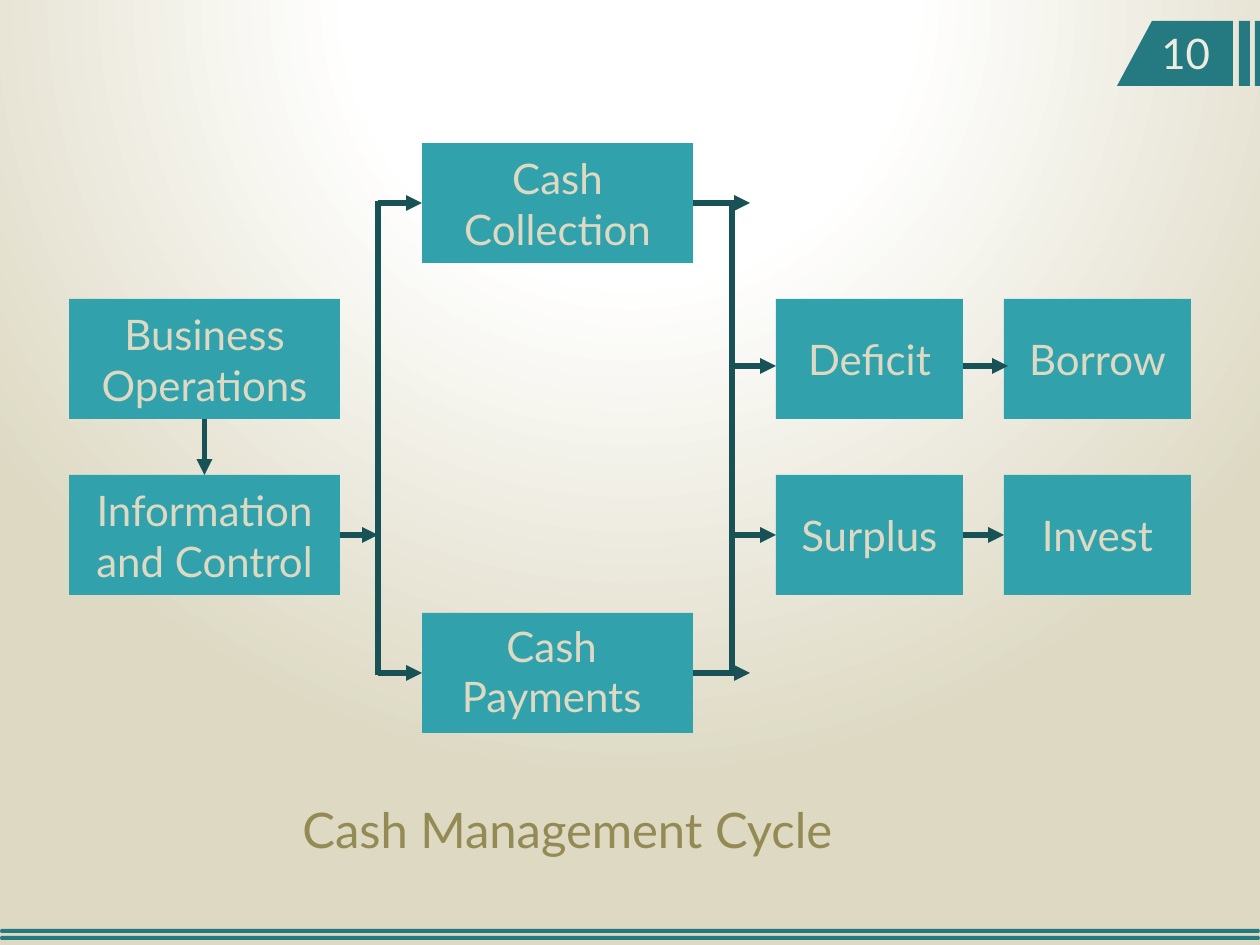
from lxml.etree import SubElement
from pptx import Presentation
from pptx.dml.color import RGBColor
from pptx.enum.shapes import MSO_CONNECTOR, MSO_SHAPE
from pptx.enum.text import MSO_ANCHOR, PP_ALIGN
from pptx.oxml.ns import qn
from pptx.util import Pt

EMU_PER_PX = 914400 / 126
SLIDE_W, SLIDE_H = 1260, 945
FONT = "Lato"
TEAL, DARK_TEAL, BOX_TEAL = "257A81", "185156", "31A2AC"
SAND, OLIVE, CREAM = "DDD9C3", "948A54", "EEECE1"
TOP, LEFT, BOTTOM, RIGHT = range(4)


def px(length):
    """Turn pixels into EMU."""
    return round(length * EMU_PER_PX)


def paint(color_format, hex_color):
    """Set a colour from a hex string."""
    color_format.rgb = RGBColor.from_string(hex_color)


def fill_plain(shape, hex_color):
    """Give a shape a flat fill with no outline or shadow."""
    shape.shadow.inherit = False
    shape.fill.solid()
    paint(shape.fill.fore_color, hex_color)
    shape.line.fill.background()


def write(frame, text, size, color, align=PP_ALIGN.LEFT):
    """Write one styled paragraph into a text frame."""
    frame.word_wrap = True
    frame.text = text
    paragraph = frame.paragraphs[0]
    paragraph.alignment = align
    font = paragraph.runs[0].font
    font.name, font.size = FONT, Pt(size)
    paint(font.color, color)


def add_label(slide, box, text, size, color):
    """Place free-standing text in a box."""
    label = slide.shapes.add_textbox(*map(px, box))
    write(label.text_frame, text, size, color)


def add_outline(slide, contours, hex_color):
    """Draw closed contours as a single filled freeform."""
    first, *others = contours
    builder = slide.shapes.build_freeform(*first[0], scale=EMU_PER_PX)
    builder.add_line_segments(first[1:], close=True)
    for contour in others:
        builder.move_to(*contour[0])
        builder.add_line_segments(contour[1:], close=True)
    fill_plain(builder.convert_to_shape(), hex_color)


def add_background(slide):
    """Spread a white-to-sand glow from above the slide."""
    fill = slide.background.fill
    fill.gradient()
    gradient = slide.background._cSld.find(".//" + qn("a:gradFill"))
    for child in list(gradient):
        gradient.remove(child)
    stops = SubElement(gradient, qn("a:gsLst"))
    for position, color in ((0, "FFFFFF"), (35, "FFFFFF"), (100, SAND)):
        stop = SubElement(stops, qn("a:gs"), pos=str(position * 1000))
        SubElement(stop, qn("a:srgbClr"), val=color)
    glow = SubElement(gradient, qn("a:path"), path="circle")
    SubElement(glow, qn("a:fillToRect"), l="50000", t="-80000", r="50000", b="180000")


def add_footer_rules(slide, left, top, width):
    """Draw the two thin round-ended rules along the bottom."""
    right, thickness = left + width, 4
    rules = []
    for y in (top, top + 7):
        rules.append([
            (left + 1, y), (right - 1, y), (right, y + thickness / 2),
            (right - 1, y + thickness), (left + 1, y + thickness), (left, y + thickness / 2),
        ])
    add_outline(slide, rules, TEAL)


def add_page_tag(slide, left, top, width, height, number):
    """Draw the slanted page tag, its two bars and the page number."""
    bottom = top + height
    parts = [(35, 0, 116), (122, 122, 133), (138, 138, width)]
    contours = [
        [(left + upper, top), (left + end, top), (left + end, bottom), (left + lower, bottom)]
        for upper, lower, end in parts
    ]
    add_outline(slide, contours, TEAL)
    add_label(slide, (left + 32, top, 76, 63), number, 24, CREAM)


def add_step(slide, left, top, width, height, text):
    """Draw one step of the cycle."""
    step = slide.shapes.add_shape(MSO_SHAPE.RECTANGLE, *map(px, (left, top, width, height)))
    fill_plain(step, BOX_TEAL)
    write(step.text_frame, text, 24, SAND, PP_ALIGN.CENTER)
    step.text_frame.vertical_anchor = MSO_ANCHOR.MIDDLE
    return step


def add_flow(slide, start, end, arrow=True):
    """Draw a line between ends given as points or as (step, side) pairs."""
    line = slide.shapes.add_connector(MSO_CONNECTOR.STRAIGHT, 0, 0, 0, 0)
    if isinstance(start[0], int):
        line.begin_x, line.begin_y = map(px, start)
    else:
        line.begin_connect(*start)
    if isinstance(end[0], int):
        line.end_x, line.end_y = map(px, end)
    else:
        line.end_connect(*end)
    line.line.width = Pt(3)
    paint(line.line.color, DARK_TEAL)
    if arrow:
        SubElement(line.line._get_or_add_ln(), qn("a:tailEnd"), type="triangle")
    SubElement(line._element.spPr, qn("a:effectLst"))


def add_cycle(slide, left, top, width, height):
    """Lay out the cash cycle: operations, cash flows, outcomes and actions."""
    wide, narrow, tall = 271, 187, 120
    upper, lower = top + 156, top + 332
    cash_x, outcome_x, action_x = left + 353, left + 707, left + width - narrow
    cash_bottom = top + height - tall
    operations = add_step(slide, left, upper, wide, tall, "Business Operations")
    control = add_step(slide, left, lower, wide, tall, "Information and Control")
    collection = add_step(slide, cash_x, top, wide, tall, "Cash Collection")
    payments = add_step(slide, cash_x, cash_bottom, wide, tall, "Cash Payments")
    payments.text_frame.margin_right = px(24)
    payments.text_frame.margin_bottom = px(11)
    add_step(slide, outcome_x, upper, narrow, tall, "Deficit")
    surplus = add_step(slide, outcome_x, lower, narrow, tall, "Surplus")
    add_step(slide, action_x, upper, narrow, tall, "Borrow")
    invest = add_step(slide, action_x, lower, narrow, tall, "Invest")

    split_x, merge_x, merge_end = left + 309, left + 663, left + 681
    collection_y, payments_y = top + tall // 2, cash_bottom + tall // 2
    deficit_y, surplus_y = upper + 67, lower + tall // 2
    add_flow(slide, (operations, BOTTOM), (control, TOP))
    add_flow(slide, (control, RIGHT), (split_x, surplus_y))
    for trunk_x in (split_x, merge_x):
        add_flow(slide, (trunk_x, collection_y - 2), (trunk_x, payments_y + 2), arrow=False)
    for cash_step, y in ((collection, collection_y), (payments, payments_y)):
        add_flow(slide, (split_x, y), (cash_step, LEFT))
        add_flow(slide, (cash_step, RIGHT), (merge_end, y))
    add_flow(slide, (merge_x, deficit_y), (outcome_x, deficit_y))
    add_flow(slide, (merge_x, surplus_y), (surplus, LEFT))
    add_flow(slide, (outcome_x + narrow, deficit_y), (action_x + 4, deficit_y))
    add_flow(slide, (surplus, RIGHT), (invest, LEFT))


def main():
    """Build and save the slide."""
    presentation = Presentation()
    presentation.slide_width, presentation.slide_height = px(SLIDE_W), px(SLIDE_H)
    slide = presentation.slides.add_slide(presentation.slide_layouts[6])
    add_background(slide)
    add_footer_rules(slide, 0, 929, SLIDE_W)
    add_page_tag(slide, 1117, 21, 143, 65, "10")
    add_cycle(slide, 69, 143, 1122, 590)
    add_label(slide, (290, 793, 575, 72), "Cash Management Cycle", 28, OLIVE)
    presentation.save("out.pptx")


if __name__ == "__main__":
    main()
